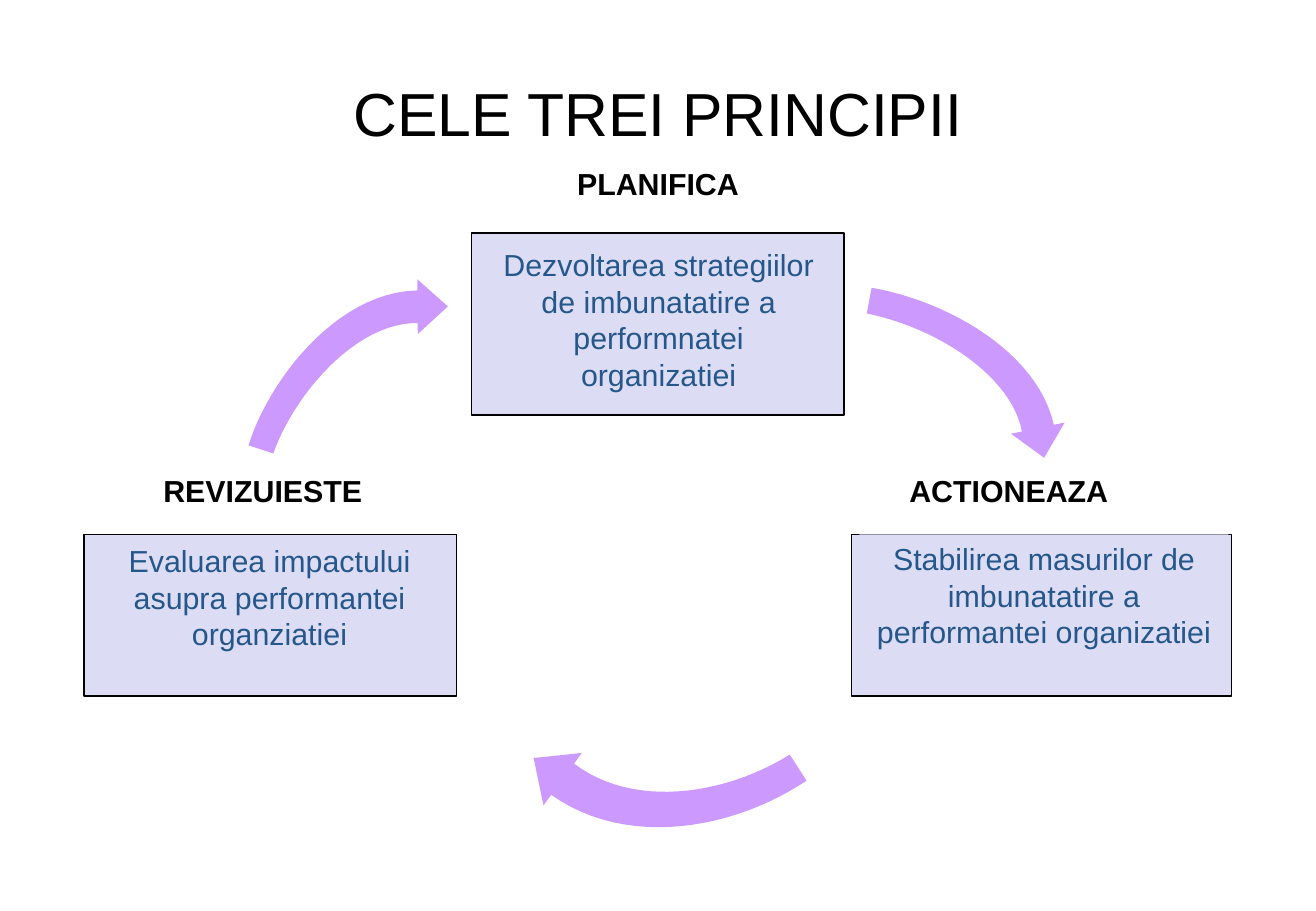
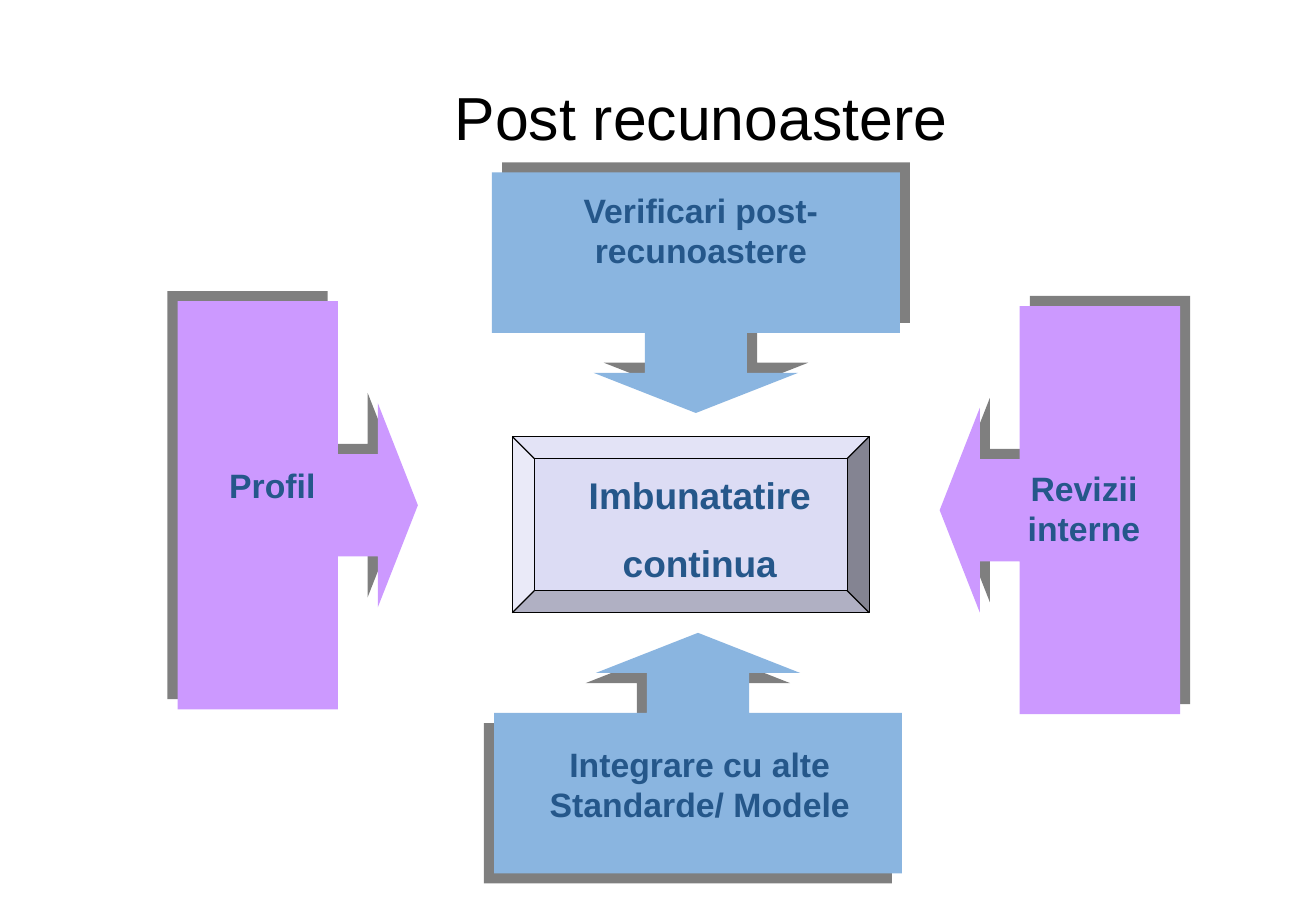
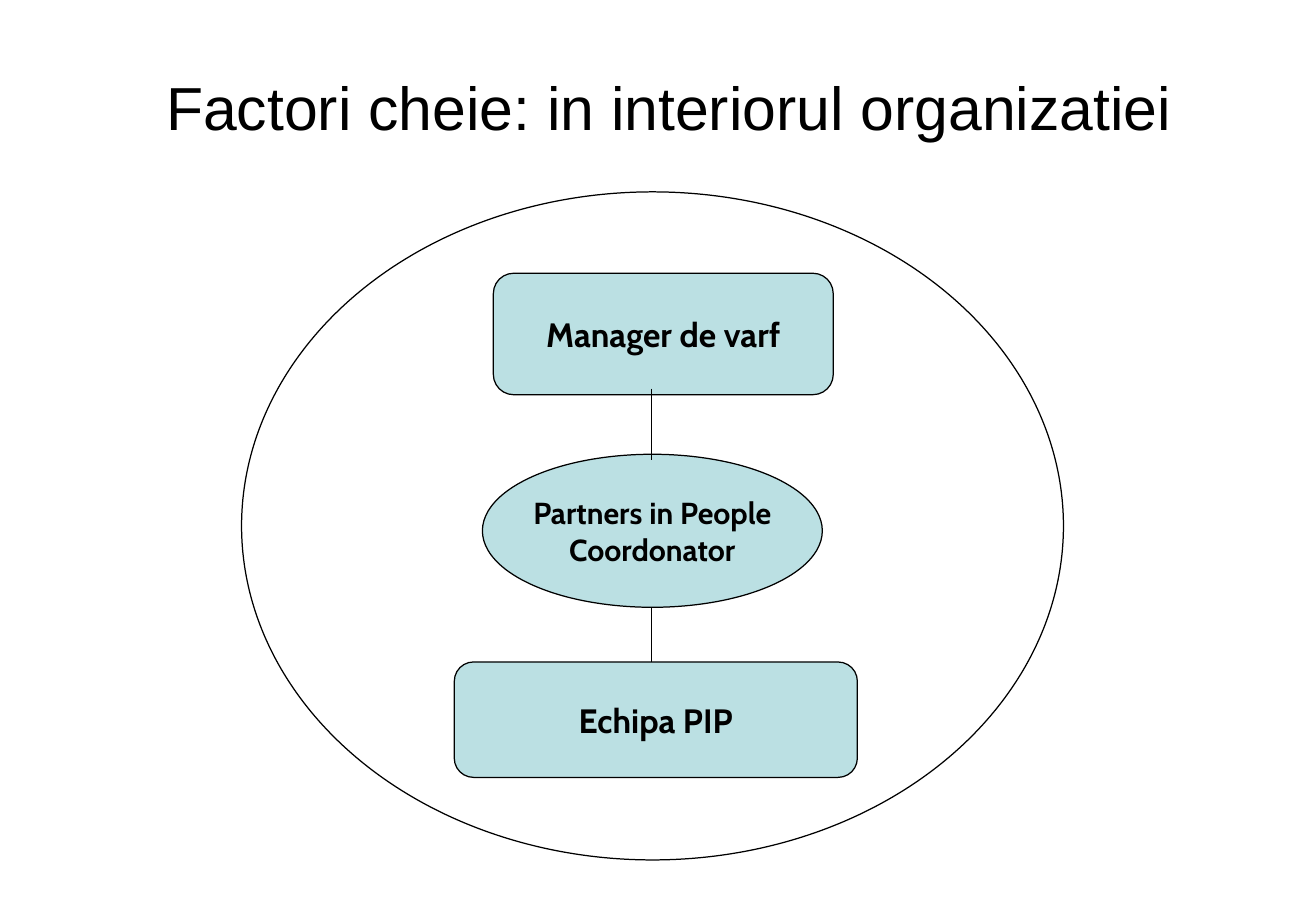
from math import hypot

from lxml import etree
from pptx import Presentation
from pptx.dml.color import RGBColor
from pptx.enum.shapes import MSO_CONNECTOR, MSO_SHAPE
from pptx.enum.text import MSO_ANCHOR, PP_ALIGN
from pptx.oxml.ns import qn
from pptx.util import Inches, Pt

RECT, ROUNDED = MSO_SHAPE.RECTANGLE, MSO_SHAPE.ROUNDED_RECTANGLE
OVAL, BEVEL = MSO_SHAPE.OVAL, MSO_SHAPE.BEVEL
CALLOUT = MSO_SHAPE.UP_ARROW_CALLOUT
STRAIGHT = MSO_CONNECTOR.STRAIGHT
TOP, MIDDLE, CENTER = MSO_ANCHOR.TOP, MSO_ANCHOR.MIDDLE, PP_ALIGN.CENTER

# Every position and length is counted in cells of a 108.4 by 75 grid.
COLS, ROWS, CELL = 108.4, 75, Inches(0.1)

COLORS = {
    "ink": "000000",
    "text": "25578A",
    "lavender": "DCDCF4",
    "purple": "CC99FF",
    "blue": "8AB5E0",
    "teal": "BBE0E3",
}
TITLE = {"name": "Arial", "size": 36, "color": "ink"}
BODY = {"name": "Arial", "size": 18, "color": "text"}
HEADING = {"name": "Arial", "size": 18, "color": "ink", "bold": True}
LABEL = {"name": "Arial", "size": 20, "color": "text", "bold": True}
CORE = {**LABEL, "size": 22}
NODE = {"name": "Cabin", "size": 20, "color": "ink", "bold": True}


def cells(*values):
    return [round(v * CELL) for v in values]


def rgb(name):
    return RGBColor.from_string(COLORS[name])


def write(sp, lines, style, anchor=TOP, wrap=True, gap=0):
    """Fill a shape with centred paragraphs, gap points apart."""
    tf = sp.text_frame
    side, end = cells(1, 0.5)
    frame = {"word_wrap": wrap, "vertical_anchor": anchor, "margin_left": side,
             "margin_right": side, "margin_top": end, "margin_bottom": end}
    for key, value in frame.items():
        setattr(tf, key, value)
    for i, line in enumerate(lines):
        p = tf.paragraphs[0] if i == 0 else tf.add_paragraph()
        p.alignment = CENTER
        p.space_before = Pt(gap if i else 0)
        r = p.add_run()
        r.text = line
        for key, value in style.items():
            if key == "color":
                r.font.color.rgb = rgb(value)
            else:
                setattr(r.font, key, Pt(value) if key == "size" else value)


def add_text(s, box, lines, style, **layout):
    write(s.shapes.add_textbox(*cells(*box)), lines, style, **layout)


def add_title(s, box, text):
    add_text(s, box, [text], TITLE, anchor=MIDDLE)


def paint(sp, fill=None, line=None):
    """Set fill colour and line width; None means no fill or no line."""
    sp.shadow.inherit = False
    if fill:
        sp.fill.solid()
        sp.fill.fore_color.rgb = rgb(fill)
    else:
        sp.fill.background()
    if line:
        sp.line.color.rgb = rgb("ink")
        sp.line.width = Pt(line)
    else:
        sp.line.fill.background()
    return sp


def add_shape(s, kind, box, fill=None, line=None, adjust=()):
    sp = s.shapes.add_shape(kind, *cells(*box))
    for i, value in enumerate(adjust):
        sp.adjustments[i] = value
    return paint(sp, fill, line)


def add_line(s, start, end):
    cn = s.shapes.add_connector(STRAIGHT, *cells(*start, *end))
    cn.line.color.rgb = rgb("ink")
    cn.line.width = Pt(0.75)
    etree.SubElement(cn._element.spPr, qn("a:effectLst"))


def add_shadow(sp, angle):
    """Cast a hard, half-transparent shadow towards the angle in degrees."""
    effects = sp._element.spPr.find(qn("a:effectLst"))
    shadow = etree.SubElement(effects, qn("a:outerShdw"), dist=str(Pt(8.5)),
                              dir=str(angle * 60000), rotWithShape="0")
    color = etree.SubElement(shadow, qn("a:srgbClr"), val=COLORS["ink"])
    etree.SubElement(color, qn("a:alpha"), val="50000")


def bezier(points, t):
    """Return the point and unit direction of a cubic curve at t."""
    u = 1 - t
    place, slope = [], []
    for a, b, c, d in zip(*points):
        place.append(u**3 * a + 3 * u * u * t * b + 3 * u * t * t * c + t**3 * d)
        slope.append(u * u * (b - a) + 2 * u * t * (c - b) + t * t * (d - c))
    length = hypot(*slope)
    return place, [v / length for v in slope]


def add_curved_arrow(s, curve, width, steps=24):
    """Draw a band along a cubic curve, widening to a neck and a pointed head."""
    def across(t, span):
        (x, y), (dx, dy) = bezier(curve, t)
        return (x + dy * span / 2, y - dx * span / 2), (x - dy * span / 2, y + dx * span / 2)

    times = [i / steps for i in range(steps + 1)]
    left, right = zip(*(across(t, width * (1 + 0.25 * t)) for t in times))
    barb_left, barb_right = across(1, 2.1 * width)
    (x, y), (dx, dy) = bezier(curve, 1)
    tip = (x + 1.16 * width * dx, y + 1.16 * width * dy)
    outline = [cells(*p) for p in (*left, barb_left, tip, barb_right, *reversed(right))]
    fb = s.shapes.build_freeform(*outline[0], scale=1.0)
    fb.add_line_segments(outline[1:], close=True)
    paint(fb.convert_to_shape(), "purple")


def add_principle(s, box, panel_box, heading_box, heading, text):
    """Place an outlined box, the text panel laid on it and the heading above."""
    add_shape(s, RECT, box, "lavender", 1)
    write(add_shape(s, RECT, panel_box, "lavender"), [text], BODY)
    add_text(s, heading_box, [heading], HEADING)


def principles_slide(s):
    add_title(s, (5.4, 3, 97.6, 12.5), "CELE TREI PRINCIPII")
    for principle in (
        ((38.84, 19.2, 30.7, 15), (39.8, 19.8, 28.9, 13), (43.1, 13.1, 22.2, 4),
         "PLANIFICA",
         "Dezvoltarea strategiilor de imbunatatire a performnatei organizatiei"),
        ((70.14, 44, 31.3, 13.3), (70.8, 44, 30.4, 10), (72.25, 38.35, 21.7, 4),
         "ACTIONEAZA",
         "Stabilirea masurilor de imbunatatire a performantei organizatiei"),
        ((6.9, 44, 30.7, 13.3), (7.1, 44.15, 30.2, 10), (9.9, 38.35, 23.5, 4),
         "REVIZUIESTE",
         "Evaluarea impactului asupra performantei organziatiei"),
    ):
        add_principle(s, *principle)
    for curve, width in (
        (((21.5, 37), (23.1, 32.1), (28.4, 25.3), (34.4, 25.25)), 2.15),
        (((71.6, 24.75), (77.7, 25.9), (84.4, 30), (85.5, 35.25)), 2.15),
        (((65.75, 63.2), (60, 66.9), (51.9, 68.2), (46.35, 64.15)), 2.55),
    ):
        add_curved_arrow(s, curve, width)


def add_callout(s, corner, turn, fill, shadow_angle):
    sp = add_shape(s, CALLOUT, (*corner, 33.6, 19.8), fill,
                   adjust=(0.425, 0.425, 0.167, 0.667))
    sp.rotation = turn
    add_shadow(sp, shadow_angle)


def recognition_slide(s):
    add_title(s, (9.9, 4.2, 95.7, 10.8), "Post recunoastere")
    add_shape(s, BEVEL, (42.2, 35.94, 29.4, 14.5), "lavender", 0.75, (0.125,))
    add_text(s, (43.6, 38.4, 28.1, 10.3), ["Imbunatatire", "continua"], CORE, gap=13.8)
    for corner, turn, fill, shadow_angle, box, text in (
        ((70.5, 32.1), 270, "purple", 315, (80, 38, 18.6, 7.7), "Revizii interne"),
        ((40.52, 14.2), 180, "blue", 315, (46.94, 15.1, 21.6, 7.7),
         "Verificari post-recunoastere"),
        ((7.72, 31.7), 90, "purple", 225, (11.94, 37.8, 21, 9.4), "Profil"),
        ((40.7, 52.1), 0, "blue", 135, (39.9, 60.74, 35.5, 7.7),
         "Integrare cu alte Standarde/ Modele"),
    ):
        add_callout(s, corner, turn, fill, shadow_angle)
        add_text(s, box, [text], LABEL)


def organisation_slide(s):
    add_title(s, (6.3, 2.5, 97.6, 12.5), "Factori cheie: in interiorul organizatiei")
    add_shape(s, OVAL, (19.9, 15.8, 67.7, 55), line=0.75)
    for kind, box, lines, size, adjust in (
        (OVAL, (39.74, 37.4, 28, 12.6), ["Partners in People", "Coordonator"], 18, ()),
        (ROUNDED, (37.42, 54.5, 33.2, 9.5), ["Echipa PIP"], 20, (0.167,)),
        (ROUNDED, (40.64, 22.5, 28, 10), ["Manager de varf"], 20, (0.167,)),
    ):
        sp = add_shape(s, kind, box, "teal", 0.75, adjust)
        write(sp, lines, {**NODE, "size": size}, anchor=MIDDLE, wrap=False)
    for top, bottom in ((32, 37.9), (50, 54.5)):
        add_line(s, (53.64, top), (53.64, bottom))


def main():
    prs = Presentation()
    prs.slide_width, prs.slide_height = cells(COLS, ROWS)
    blank = prs.slide_layouts[6]
    for build in (principles_slide, recognition_slide, organisation_slide):
        build(prs.slides.add_slide(blank))
    prs.save("out.pptx")


if __name__ == "__main__":
    main()
